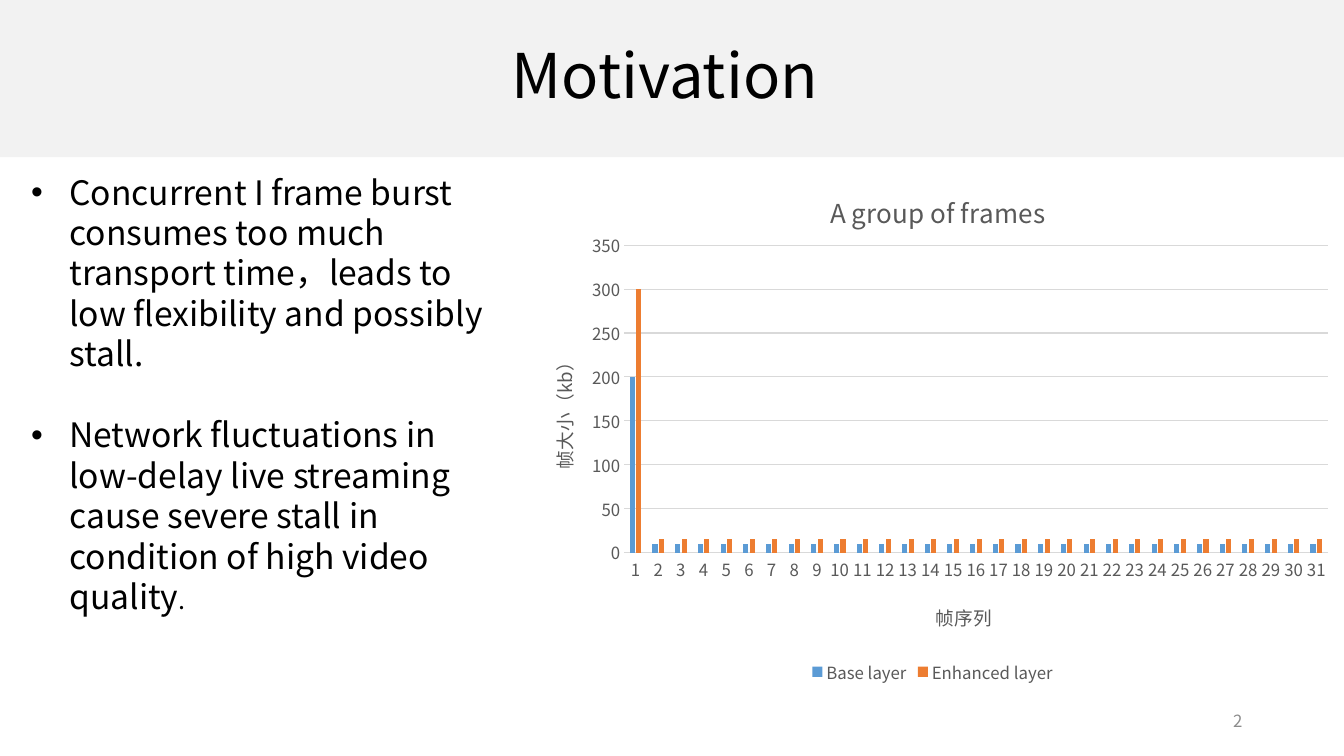
import pptx
import pptx.util
import pptx.chart.data
import pptx.dml.color
import pptx.enum.chart
import pptx.enum.shapes
import pptx.enum.text
import pptx.oxml
import pptx.oxml.ns
from dataclasses import dataclass

Inches, Pt = pptx.util.Inches, pptx.util.Pt
qn = pptx.oxml.ns.qn
ALIGN = pptx.enum.text.PP_ALIGN
ANCHOR = pptx.enum.text.MSO_ANCHOR


@dataclass(frozen=True)
class Theme:
    """Colours, font and type sizes of the slide."""
    font: str = "Noto Sans CJK SC"
    band: str = "F2F2F2"
    text: str = "000000"
    muted: str = "595959"
    number: str = "8C8C8C"
    grid: str = "D9D9D9"
    base: str = "5B9BD5"
    enhanced: str = "ED7D31"
    title_size: float = 44
    body_size: float = 24
    body_line: float = 28.9
    stop_size: float = 18
    chart_title_size: float = 18.6
    axis_title_size: float = 13.3
    label_size: float = 12


THEME = Theme()


def rgb(value):
    """Turn a hex string into a colour."""
    return pptx.dml.color.RGBColor.from_string(value)


def style(font, size, color):
    """Set face, size and colour of a font."""
    for name, value in {"name": THEME.font, "size": Pt(size), "bold": False}.items():
        setattr(font, name, value)
    font.color.rgb = rgb(color)


def add_run(p, text, size, color):
    """Append a styled run, with the same face for East Asian text."""
    r = p.add_run()
    r.text = text
    style(r.font, size, color)
    ea = pptx.oxml.parse_xml(
        f'<a:ea {pptx.oxml.ns.nsdecls("a")} typeface="{THEME.font}"/>')
    r.font._element.find(qn("a:latin")).addnext(ea)


def add_text_box(s, box, anchor=ANCHOR.TOP):
    """Add a wrapping text box and return its text frame."""
    tf = s.shapes.add_textbox(*map(Inches, box)).text_frame
    tf.word_wrap = True
    tf.vertical_anchor = anchor
    return tf


def add_header(s, box, title):
    """Draw the band with the slide title on it."""
    left, top, width, height = box
    band = s.shapes.add_shape(
        pptx.enum.shapes.MSO_SHAPE.RECTANGLE, *map(Inches, box))
    band.shadow.inherit = False
    band.fill.solid()
    band.fill.fore_color.rgb = rgb(THEME.band)
    band.line.fill.background()
    p = add_text_box(s, (left, top + 0.4, width, 0.82)).paragraphs[0]
    p.alignment, p.line_spacing = ALIGN.CENTER, 0.9
    add_run(p, title, THEME.title_size, THEME.text)


def add_bullets(s, box, points):
    """Write bulleted points, each a list of (text, size) runs."""
    tf = add_text_box(s, box)
    for i, runs in enumerate(points):
        p = tf.add_paragraph() if i else tf.paragraphs[0]
        p.line_spacing = Pt(THEME.body_line)
        p.space_before = Pt(THEME.body_line if i else 0)
        pPr = p._p.get_or_add_pPr()
        pPr.set("marL", str(Inches(0.38)))
        pPr.set("indent", str(-Inches(0.38)))
        for tag, key, value in (("buFont", "typeface", "Arial"),
                                ("buChar", "char", "•")):
            pPr.append(pptx.oxml.parse_xml(
                f'<a:{tag} {pptx.oxml.ns.nsdecls("a")} {key}="{value}"/>'))
        for text, size in runs:
            add_run(p, text, size, THEME.text)


def set_layout(parent, before, **places):
    """Place a chart part by fractions of the chart area."""
    for old in parent.findall(qn("c:layout")):
        parent.remove(old)
    target = '<c:layoutTarget val="inner"/>' if "w" in places else ""
    modes = "".join(f'<c:{k}Mode val="edge"/>' for k in "xy")
    values = "".join(f'<c:{k} val="{v}"/>' for k, v in places.items())
    layout = pptx.oxml.parse_xml(
        f'<c:layout {pptx.oxml.ns.nsdecls("c")}><c:manualLayout>'
        f'{target}{modes}{values}</c:manualLayout></c:layout>')
    if before is None:
        parent.insert(0, layout)
    else:
        parent.find(qn(before)).addnext(layout)


def add_title(owner, text, size, x, y):
    """Give a chart or an axis its title at a set place."""
    owner.has_title = True
    title = owner.chart_title if hasattr(owner, "chart_title") else owner.axis_title
    add_run(title.text_frame.paragraphs[0], text, size, THEME.muted)
    set_layout(title._element, "c:tx", x=x, y=y)


def add_frame_chart(s, box, title, series):
    """Draw the clustered columns of frame sizes; series holds name, values, colour."""
    data = pptx.chart.data.CategoryChartData()
    data.categories = [str(n + 1) for n in range(len(series[0][1]))]
    for name, values, _ in series:
        data.add_series(name, values)
    chart = s.shapes.add_chart(pptx.enum.chart.XL_CHART_TYPE.COLUMN_CLUSTERED,
                               *map(Inches, box), data).chart
    style(chart.font, THEME.label_size, THEME.muted)
    add_title(chart, title, THEME.chart_title_size, 0.37, 0.05)
    chart.has_legend = True
    legend = chart.legend
    legend.position = pptx.enum.chart.XL_LEGEND_POSITION.BOTTOM
    legend.include_in_layout = False
    style(legend.font, THEME.label_size, THEME.muted)

    plot = chart.plots[0]
    for name, value in {"gap_width": 219, "overlap": -27,
                        "vary_by_categories": False}.items():
        setattr(plot, name, value)
    for drawn, (_, _, color) in zip(plot.series, series):
        drawn.format.fill.solid()
        drawn.format.fill.fore_color.rgb = rgb(color)

    cat, val = chart.category_axis, chart.value_axis
    for axis, text, x, y in ((cat, "帧序列", 0.5, 0.83),
                             (val, "帧大小（kb）", 0.03, 0.36)):
        axis.major_tick_mark = axis.minor_tick_mark = pptx.enum.chart.XL_TICK_MARK.NONE
        style(axis.tick_labels.font, THEME.label_size, THEME.muted)
        add_title(axis, text, THEME.axis_title_size, x, y)
    turn = val.axis_title.text_frame._txBody.find(qn("a:bodyPr"))
    turn.set("rot", "-5400000")
    turn.set("vert", "horz")
    for name, value in {"minimum_scale": 0, "maximum_scale": 350, "major_unit": 50,
                        "has_major_gridlines": True}.items():
        setattr(val, name, value)
    val.format.line.fill.background()
    for line in (cat.format.line, val.major_gridlines.format.line):
        line.color.rgb = rgb(THEME.grid)
        line.width = Pt(0.75)
    set_layout(chart._chartSpace.chart.plotArea, None, x=0.126, y=0.164, w=0.853, h=0.58)


def add_slide_number(s, box, number):
    """Write the slide number at the right of its box."""
    p = add_text_box(s, box, ANCHOR.MIDDLE).paragraphs[0]
    p.alignment = ALIGN.RIGHT
    add_run(p, number, THEME.label_size, THEME.number)


prs = pptx.Presentation()
prs.slide_width, prs.slide_height = Inches(13.33), Inches(7.5)
s = prs.slides.add_slide(prs.slide_layouts[6])
add_header(s, (0, 0, 13.33, 1.56), "Motivation ")
add_bullets(s, (0.21, 1.65, 4.71, 3.74), [
    [("Concurrent I frame burst consumes too much transport time，leads to "
      "low flexibility and possibly stall.", THEME.body_size)],
    [("Network fluctuations in low-delay live streaming cause severe stall in "
      "condition of high video quality", THEME.body_size), (".", THEME.stop_size)],
])
add_frame_chart(s, (5.16, 1.57, 8.18, 5.26), "A group of frames", [
    ("Base layer", [200] + [10] * 30, THEME.base),
    ("Enhanced layer", [300] + [15] * 30, THEME.enhanced),
])
add_slide_number(s, (9.42, 6.95, 3, 0.4), "2")
prs.save("out.pptx")
